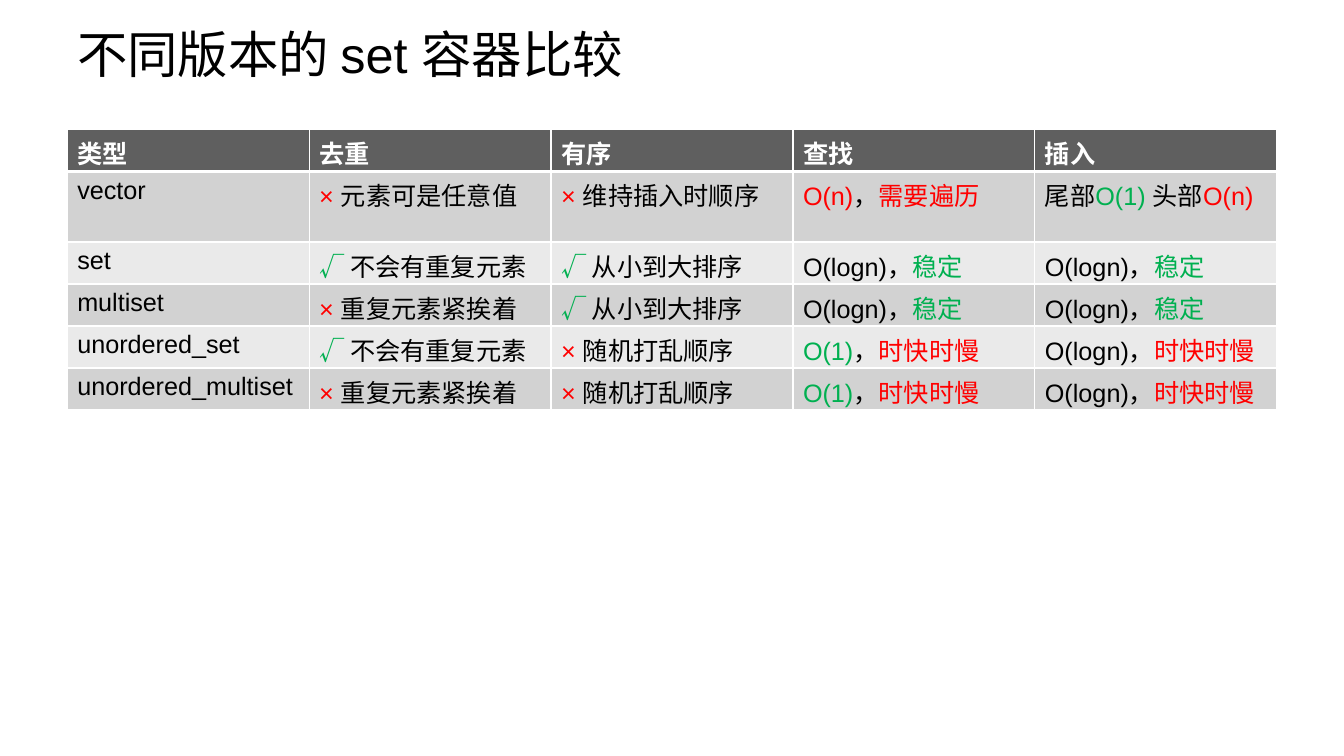
import pptx
import pptx.util
import pptx.dml.color
import pptx.enum.lang
import pptx.enum.text
import pptx.oxml.ns
import lxml.etree

Pt = pptx.util.Pt
rgb = pptx.dml.color.RGBColor.from_string
qn = pptx.oxml.ns.qn

theme = {
    "font": "Arial", "title": 36, "body": 18,
    "ink": "000000", "white": "FFFFFF", "good": "00B050", "bad": "FF0000",
    "head": "5F5F5F", "odd": "D2D2D2", "even": "EAEAEA",
}

# Runs are parted by "|"; a leading "+" is green, a leading "-" is red
once = "+√ |不会有重复元素"
near = "-× |重复元素紧挨着"
sort = "+√ |从小到大排序"
mix = "-× |随机打乱顺序"
tree = "O(logn)，|+稳定"
hash_find = "+O(1)|，|-时快时慢"
hash_add = "O(logn)，|-时快时慢"
rows = [
    ["类型", "去重", "有序", "查找", "插入"],
    ["vector", "-× |元素可是任意值", "-× |维持插入时顺序",
     "-O(n)|，|-需要遍历", "尾部|+O(1) |头部|-O(n)"],
    ["set", once, sort, tree, tree],
    ["multiset", near, sort, tree, tree],
    ["unordered_set", once, mix, hash_find, hash_add],
    ["unordered_multiset", near, mix, hash_find, hash_add],
]


def write(frame, text, size, ink, bold=False):
    para = frame.paragraphs[0]
    for part in text.split("|"):
        tone = {"+": "good", "-": "bad"}.get(part[0])
        run = para.add_run()
        run.text = part[1:] if tone else part
        style = {
            "name": theme["font"], "size": Pt(theme[size]), "bold": bold,
            "language_id": pptx.enum.lang.MSO_LANGUAGE_ID.SIMPLIFIED_CHINESE,
        }
        for key, value in style.items():
            setattr(run.font, key, value)
        run.font.color.rgb = rgb(theme[tone or ink])


def edge(cell, side, width):
    props = cell._tc.get_or_add_tcPr()
    line = lxml.etree.SubElement(props, qn("a:ln" + side), w=str(Pt(width)))
    fill = lxml.etree.SubElement(line, qn("a:solidFill"))
    lxml.etree.SubElement(fill, qn("a:srgbClr"), val=theme["white"])


# Slide
deck = pptx.Presentation()
deck.slide_width, deck.slide_height = Pt(960), Pt(540)
slide = deck.slides.add_slide(deck.slide_layouts[6])

# Title
box = slide.shapes.add_textbox(Pt(48), Pt(15), Pt(864), Pt(46))
frame = box.text_frame
frame.word_wrap = True
frame.vertical_anchor = pptx.enum.text.MSO_ANCHOR.MIDDLE
write(frame, "不同版本的 set 容器比较", "title", "ink")

# Table
grid = slide.shapes.add_table(
    len(rows), len(rows[0]), Pt(48), Pt(92.4), Pt(864), Pt(180)).table
for r, row in enumerate(rows):
    head = r == 0
    shade = "head" if head else "odd" if r % 2 else "even"
    widths = {"L": 1, "R": 1, "T": 3 if r == 1 else 1, "B": 3 if head else 1}
    for c, text in enumerate(row):
        cell = grid.cell(r, c)
        for side, width in widths.items():
            edge(cell, side, width)
        cell.fill.solid()
        cell.fill.fore_color.rgb = rgb(theme[shade])
        write(cell.text_frame, text, "body", "white" if head else "ink", head)

deck.save("out.pptx")
